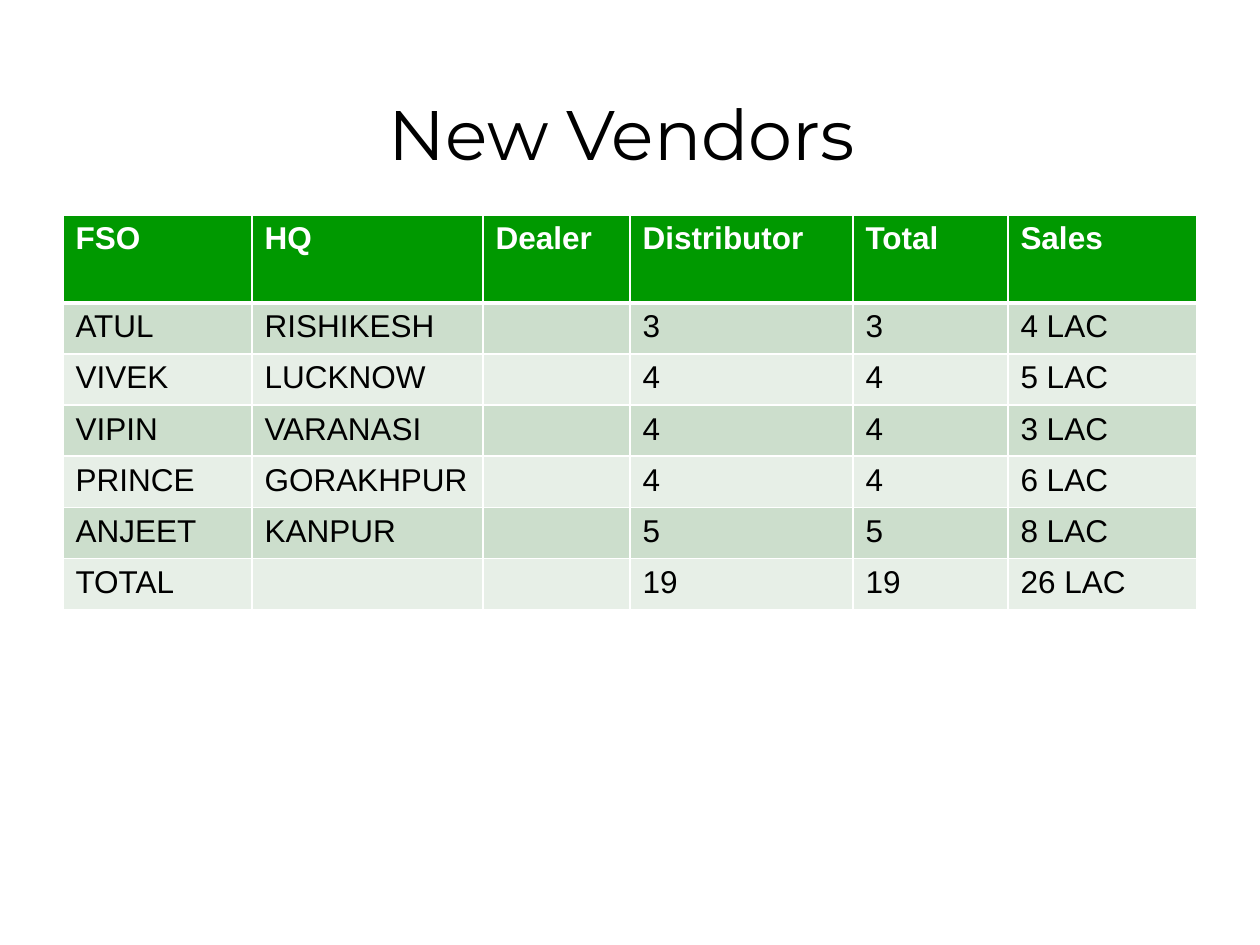
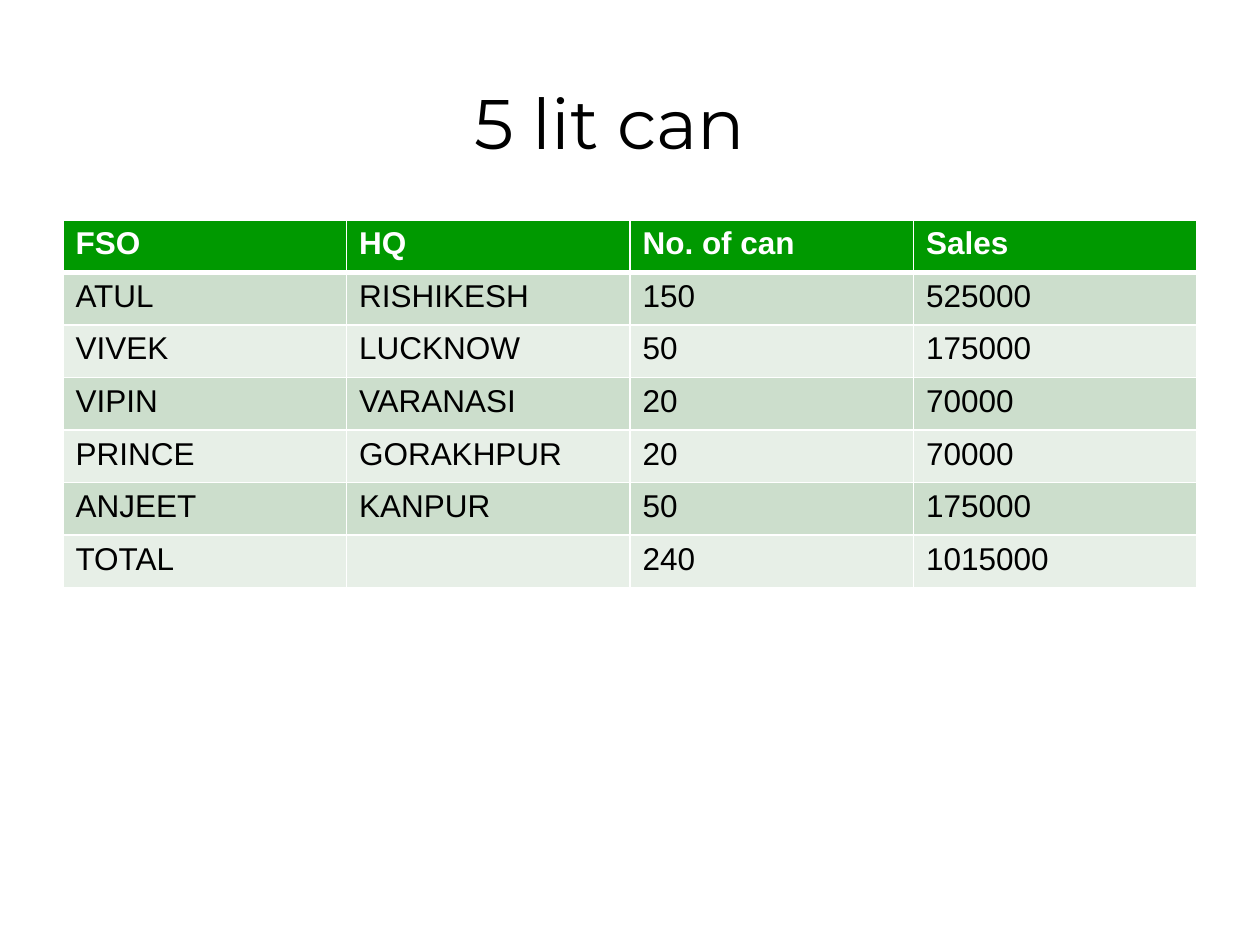
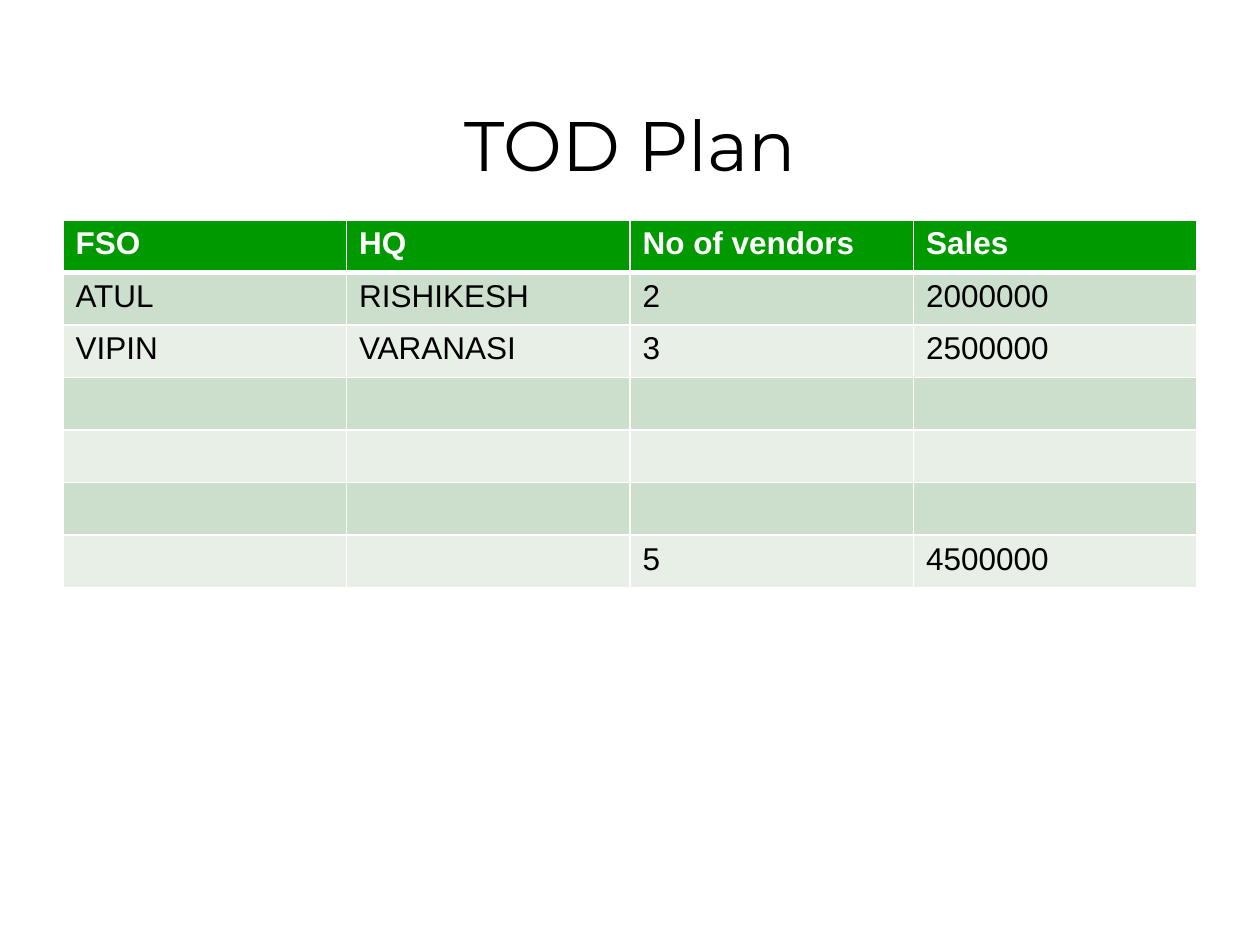
"""Build three sales tables on title-only slides."""
from dataclasses import dataclass

from lxml.etree import SubElement
from pptx import Presentation
from pptx.dml.color import RGBColor
from pptx.enum.text import MSO_ANCHOR, MSO_AUTO_SIZE, PP_ALIGN
from pptx.oxml.ns import qn
from pptx.slide import Slide
from pptx.table import _Cell
from pptx.text.text import _Paragraph
from pptx.util import Emu, Pt

EMU_PER_PIXEL = 914400 / 126


@dataclass(frozen=True)
class Theme:
    title_font: str = "Montserrat"
    body_font: str = "Arial"
    title_size: int = 40
    body_size: int = 18
    ink: str = "000000"
    paper: str = "FFFFFF"
    header_fill: str = "009900"
    band_fills: tuple[str, str] = ("CCDECC", "E7EFE7")
    thin_border: int = 1
    thick_border: int = 3


@dataclass(frozen=True)
class Title:
    text: str
    top: int
    height: int
    left_shift: int = 0


@dataclass(frozen=True)
class SalesTable:
    top: int
    height: int
    rows: list[tuple[str, ...]]
    column_widths: tuple[int, ...] = ()
    header_height: int = 0


THEME = Theme()
SLIDE_WIDTH, SLIDE_HEIGHT = 1260, 945
MARGIN = 63
CONTENT_WIDTH = SLIDE_WIDTH - 2 * MARGIN
TEXT_INSET = 13

PAGES = [
    (
        Title("New Vendors", top=84, height=158, left_shift=8),
        SalesTable(
            top=215,
            height=394,
            column_widths=(189, 231, 147, 223, 155, 189),
            header_height=88,
            rows=[
                ("FSO", "HQ", "Dealer", "Distributor", "Total", "Sales"),
                ("ATUL", "RISHIKESH", "", "3", "3", "4 LAC"),
                ("VIVEK", "LUCKNOW", "", "4", "4", "5 LAC"),
                ("VIPIN", "VARANASI", "", "4", "4", "3 LAC"),
                ("PRINCE", "GORAKHPUR", "", "4", "4", "6 LAC"),
                ("ANJEET", "KANPUR", "", "5", "5", "8 LAC"),
                ("TOTAL", "", "", "19", "19", "26 LAC"),
            ],
        ),
    ),
    (
        Title("5 lit can", top=73, height=158, left_shift=20),
        SalesTable(
            top=220,
            height=368,
            rows=[
                ("FSO", "HQ", "No. of can", "Sales"),
                ("ATUL", "RISHIKESH", "150", "525000"),
                ("VIVEK", "LUCKNOW", "50", "175000"),
                ("VIPIN", "VARANASI", "20", "70000"),
                ("PRINCE", "GORAKHPUR", "20", "70000"),
                ("ANJEET", "KANPUR", "50", "175000"),
                ("TOTAL", "", "240", "1015000"),
            ],
        ),
    ),
    (
        Title("TOD Plan", top=95, height=123),
        SalesTable(
            top=220,
            height=368,
            rows=[
                ("FSO", "HQ", "No of vendors", "Sales"),
                ("ATUL", "RISHIKESH", "2", "2000000"),
                ("VIPIN", "VARANASI", "3", "2500000"),
                *[("",) * 4] * 3,
                ("", "", "5", "4500000"),
            ],
        ),
    ),
]


def pixels(count: float) -> Emu:
    """Turn pixels into EMU."""
    return Emu(round(count * EMU_PER_PIXEL))


def add_text(paragraph: _Paragraph, text: str, font_name: str, size: int,
             color: str, bold: bool = False) -> None:
    """Add one formatted run to a paragraph."""
    run = paragraph.add_run()
    run.text = text
    run.font.name = font_name
    run.font.size = Pt(size)
    run.font.bold = bold
    run.font.color.rgb = RGBColor.from_string(color)


def draw_title(slide: Slide, title: Title) -> None:
    """Place and fill the title placeholder."""
    shape = slide.shapes.title
    shape.left, shape.top = pixels(MARGIN), pixels(title.top)
    shape.width, shape.height = pixels(CONTENT_WIDTH), pixels(title.height)
    frame = shape.text_frame
    frame.word_wrap = True
    frame.auto_size = MSO_AUTO_SIZE.NONE
    frame.vertical_anchor = MSO_ANCHOR.TOP
    frame.margin_left = pixels(TEXT_INSET)
    frame.margin_right = pixels(TEXT_INSET + 2 * title.left_shift)
    paragraph = frame.paragraphs[0]
    paragraph.alignment = PP_ALIGN.CENTER
    add_text(paragraph, title.text, THEME.title_font, THEME.title_size, THEME.ink)


def set_borders(cell: _Cell, row_index: int) -> None:
    """Draw the cell borders, with a thick line under the header."""
    thick_side = {0: "lnB", 1: "lnT"}.get(row_index)
    properties = cell._tc.get_or_add_tcPr()
    for side in ("lnL", "lnR", "lnT", "lnB"):
        width = THEME.thick_border if side == thick_side else THEME.thin_border
        line = SubElement(properties, qn(f"a:{side}"), w=str(Pt(width)))
        fill = SubElement(line, qn("a:solidFill"))
        SubElement(fill, qn("a:srgbClr"), val=THEME.paper)


def format_cell(cell: _Cell, text: str, row_index: int) -> None:
    """Format one cell as header or banded body."""
    is_header = row_index == 0
    set_borders(cell, row_index)
    cell.fill.solid()
    fill = THEME.header_fill if is_header else THEME.band_fills[(row_index - 1) % 2]
    cell.fill.fore_color.rgb = RGBColor.from_string(fill)
    if text:
        color = THEME.paper if is_header else THEME.ink
        add_text(cell.text_frame.paragraphs[0], text, THEME.body_font,
                 THEME.body_size, color, bold=is_header)


def draw_table(slide: Slide, sales: SalesTable) -> None:
    """Add a table with equal body rows."""
    row_count = len(sales.rows)
    table = slide.shapes.add_table(
        row_count, len(sales.rows[0]), pixels(MARGIN), pixels(sales.top),
        pixels(CONTENT_WIDTH), pixels(sales.height),
    ).table
    table.horz_banding = False
    for column, width in zip(table.columns, sales.column_widths):
        column.width = pixels(width)
    if sales.header_height:
        body_height = (sales.height - sales.header_height) / (row_count - 1)
        for row_index, row in enumerate(table.rows):
            row.height = pixels(body_height if row_index else sales.header_height)
    for row_index, texts in enumerate(sales.rows):
        for column_index, text in enumerate(texts):
            format_cell(table.cell(row_index, column_index), text, row_index)


def build() -> None:
    """Build and save the presentation."""
    presentation = Presentation()
    presentation.slide_width = pixels(SLIDE_WIDTH)
    presentation.slide_height = pixels(SLIDE_HEIGHT)
    title_only = presentation.slide_layouts.get_by_name("Title Only")
    for title, sales in PAGES:
        slide = presentation.slides.add_slide(title_only)
        draw_title(slide, title)
        draw_table(slide, sales)
    presentation.save("out.pptx")


build()
